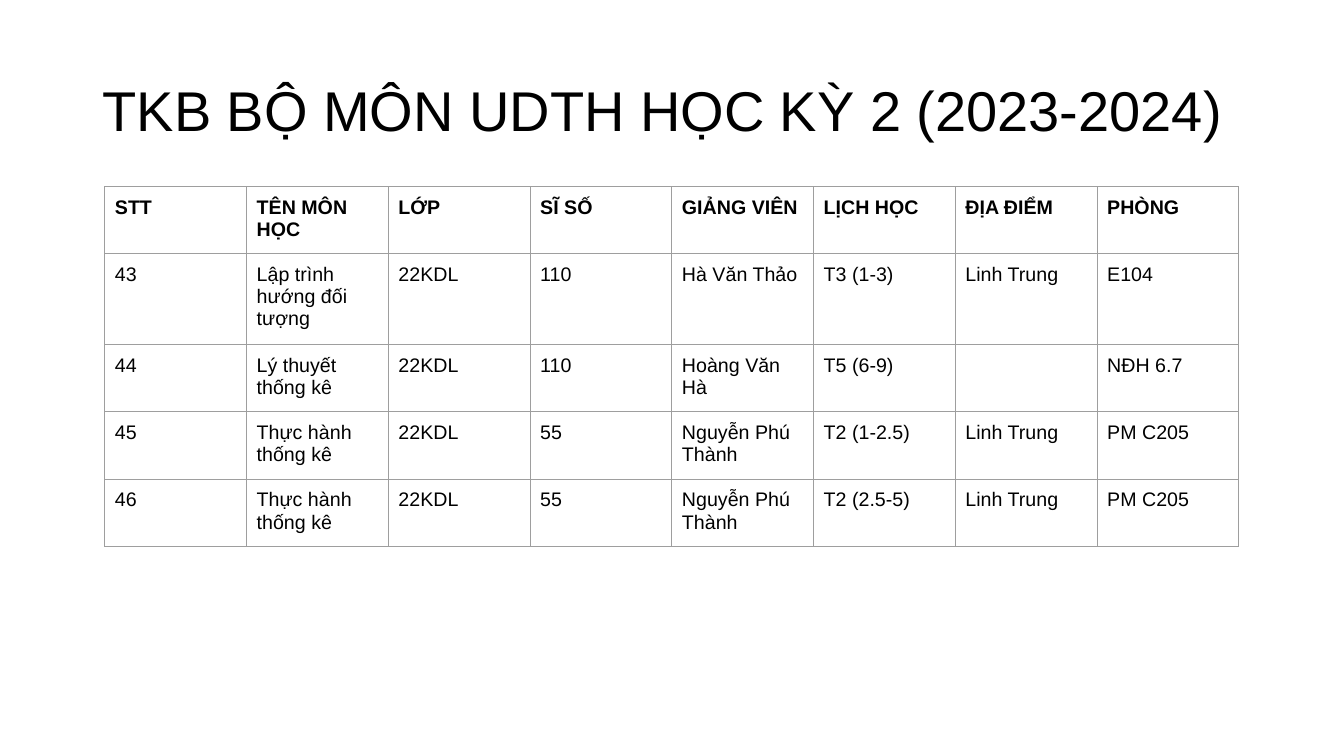
from dataclasses import dataclass

from lxml.etree import SubElement
from pptx import Presentation
from pptx.dml.color import RGBColor as Color
from pptx.enum.text import MSO_ANCHOR as Anchor
from pptx.oxml.ns import qn
from pptx.slide import Slide
from pptx.table import _Cell as Cell
from pptx.text.text import _Paragraph as Para
from pptx.util import Inches, Pt


@dataclass(frozen=True)
class Theme:
    font: str = "Arial"
    ink: str = "000000"
    rule: str = "9E9E9E"
    line: float = 0.75
    title: int = 40
    body: int = 14


@dataclass(frozen=True)
class Course:
    num: str
    name: str
    group: str
    size: str
    tutor: str
    time: str
    place: str
    room: str

    def texts(self) -> list[str]:
        return [self.num, self.name, self.group, self.size,
                self.tutor, self.time, self.place, self.room]


THEME = Theme()
TITLE = "TKB BỘ MÔN UDTH HỌC KỲ 2 (2023-2024)"
HEAD = ["STT", "TÊN MÔN HỌC", "LỚP", "SĨ SỐ",
        "GIẢNG VIÊN", "LỊCH HỌC", "ĐỊA ĐIỂM", "PHÒNG"]
COURSES = [
    Course("43", "Lập trình hướng đối tượng", "22KDL", "110",
           "Hà Văn Thảo", "T3 (1-3)", "Linh Trung", "E104"),
    Course("44", "Lý thuyết thống kê", "22KDL", "110",
           "Hoàng Văn Hà", "T5 (6-9)", "", "NĐH 6.7"),
    Course("45", "Thực hành thống kê", "22KDL", "55",
           "Nguyễn Phú Thành", "T2 (1-2.5)", "Linh Trung", "PM C205"),
    Course("46", "Thực hành thống kê", "22KDL", "55",
           "Nguyễn Phú Thành", "T2 (2.5-5)", "Linh Trung", "PM C205"),
]


def add_text(para: Para, text: str, size: int, bold: bool = False) -> None:
    run = para.add_run()
    run.text = text
    run.font.name = THEME.font
    run.font.size = Pt(size)
    run.font.bold = bold
    run.font.color.rgb = Color.from_string(THEME.ink)


def add_title(slide: Slide) -> None:
    box = slide.shapes.add_textbox(Inches(0.92), Inches(0.4), Inches(11.5), Inches(1.45))
    frame = box.text_frame
    frame.word_wrap = True
    frame.vertical_anchor = Anchor.MIDDLE
    para = frame.paragraphs[0]
    para.line_spacing = 0.9
    add_text(para, TITLE, THEME.title)


def add_rules(cell: Cell) -> None:
    props = cell._tc.get_or_add_tcPr()
    for side in ("L", "R", "T", "B"):
        line = SubElement(props, qn(f"a:ln{side}"), w=str(Pt(THEME.line)))
        fill = SubElement(line, qn("a:solidFill"))
        SubElement(fill, qn("a:srgbClr"), val=THEME.rule)


def fill_cell(cell: Cell, text: str, bold: bool) -> None:
    cell.margin_left = cell.margin_right = Inches(0.1)
    cell.margin_top = cell.margin_bottom = Inches(0.1)
    add_rules(cell)
    cell.fill.background()
    if text:
        add_text(cell.text_frame.paragraphs[0], text, THEME.body, bold)


def add_grid(slide: Slide) -> None:
    rows = [HEAD] + [course.texts() for course in COURSES]
    table = slide.shapes.add_table(
        len(rows), len(HEAD), Inches(1.04), Inches(1.85),
        Inches(11.25), Inches(0.42) * len(rows)).table
    table.first_row = False
    table.horz_banding = False
    for r, texts in enumerate(rows):
        for c, text in enumerate(texts):
            fill_cell(table.cell(r, c), text, r == 0)


def main() -> None:
    deck = Presentation()
    deck.slide_width = Inches(13.33)
    deck.slide_height = Inches(7.5)
    slide = deck.slides.add_slide(deck.slide_layouts[6])
    add_title(slide)
    add_grid(slide)
    deck.save("out.pptx")


if __name__ == "__main__":
    main()
